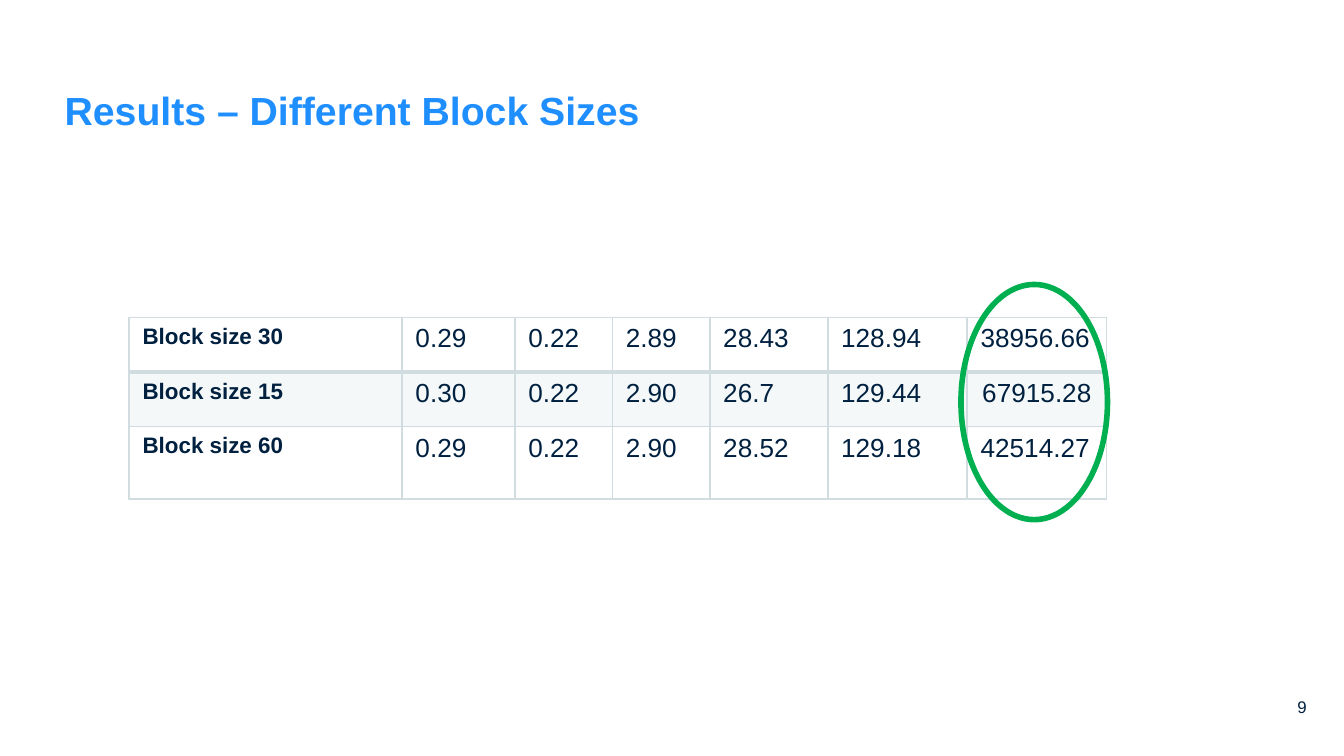
from lxml.etree import SubElement
from pptx import Presentation
from pptx.dml.color import RGBColor
from pptx.enum.shapes import MSO_SHAPE
from pptx.enum.text import MSO_ANCHOR, PP_ALIGN
from pptx.oxml import parse_xml
from pptx.oxml.ns import nsdecls, qn
from pptx.util import Pt

# Content
TITLE = "Results – Different Block Sizes"
PAGE_NUMBER = "9"
ROWS = [
    ("Block size 30", "0.29", "0.22", "2.89", "28.43", "128.94", "38956.66"),
    ("Block size 15", "0.30", "0.22", "2.90", "26.7", "129.44", "67915.28"),
    ("Block size 60", "0.29", "0.22", "2.90", "28.52", "129.18", "42514.27"),
]
CENTERED_CELL = (1, 6)
SHADED_ROW = 1

# Layout
COLUMN_WIDTHS = [146.2, 60.5, 52.2, 52.2, 63.2, 74.7, 74.7]
ROW_HEIGHTS = [29.3, 29.3, 38.8]
TABLE_LEFT, TABLE_TOP = 69.2, 170

THEME = {
    "font": "Arial",
    "title": "1F8FFF", "text": "002040", "grid": "D0DCDF", "highlight": "00B050",
    "title_size": 21, "value_size": 14, "label_size": 12, "page_size": 9,
    "shade_opacity": 20, "grid_width": 1, "first_rule_width": 2, "highlight_width": 3,
}


def write(text_frame, text, *, size, color=THEME["text"], bold=False,
          align=PP_ALIGN.LEFT, spacing=1.0):
    paragraph = text_frame.paragraphs[0]
    paragraph.alignment = align
    paragraph.line_spacing = spacing
    run = paragraph.add_run()
    run.text = text
    run.font.name = THEME["font"]
    run.font.size = Pt(size)
    run.font.bold = bold
    run.font.color.rgb = RGBColor.from_string(color)


def clear_margins(text_frame):
    text_frame.margin_left = text_frame.margin_right = 0
    text_frame.margin_top = text_frame.margin_bottom = 0
    text_frame.vertical_anchor = MSO_ANCHOR.TOP
    text_frame.word_wrap = True


def place(shape, left, top, width, height):
    shape.left, shape.top = Pt(left), Pt(top)
    shape.width, shape.height = Pt(width), Pt(height)


def set_borders(cell, widths):
    properties = cell._tc.get_or_add_tcPr()
    for position, (side, width) in enumerate(widths.items()):
        properties.insert(position, parse_xml(
            f'<a:ln{side} {nsdecls("a")} w="{Pt(width)}"><a:solidFill>'
            f'<a:srgbClr val="{THEME["grid"]}"/></a:solidFill></a:ln{side}>'))


def shade(cell):
    cell.fill.solid()
    cell.fill.fore_color.rgb = RGBColor.from_string(THEME["grid"])
    color = cell._tc.tcPr.find(qn("a:solidFill")).find(qn("a:srgbClr"))
    SubElement(color, qn("a:alpha"), val=str(THEME["shade_opacity"] * 1000))


presentation = Presentation()
presentation.slide_width, presentation.slide_height = Pt(720), Pt(405)
slide = presentation.slides.add_slide(presentation.slide_layouts[5])

# Title
title = slide.shapes.title
place(title, 34.6, 43.9, 620.6, 35.3)
clear_margins(title.text_frame)
write(title.text_frame, TITLE, size=THEME["title_size"], color=THEME["title"],
      bold=True, spacing=1.1)

# Page number
page_box = slide.shapes.add_textbox(Pt(676), Pt(373), Pt(24), Pt(15))
clear_margins(page_box.text_frame)
write(page_box.text_frame, PAGE_NUMBER, size=THEME["page_size"], align=PP_ALIGN.RIGHT)

# Results table
table = slide.shapes.add_table(
    len(ROWS), len(COLUMN_WIDTHS), Pt(TABLE_LEFT), Pt(TABLE_TOP),
    Pt(sum(COLUMN_WIDTHS)), Pt(sum(ROW_HEIGHTS))).table
table.first_row = table.horz_banding = False
for column, width in zip(table.columns, COLUMN_WIDTHS):
    column.width = Pt(width)
for row, height in zip(table.rows, ROW_HEIGHTS):
    row.height = Pt(height)

for row_index, values in enumerate(ROWS):
    borders = dict.fromkeys("LRTB", THEME["grid_width"])
    if row_index < 2:  # heavier rule below the first row
        borders["BT"[row_index]] = THEME["first_rule_width"]
    for column_index, value in enumerate(values):
        cell = table.cell(row_index, column_index)
        is_label = column_index == 0
        is_centered = (row_index, column_index) == CENTERED_CELL
        write(cell.text_frame, value, bold=is_label,
              size=THEME["label_size" if is_label else "value_size"],
              align=PP_ALIGN.CENTER if is_centered else PP_ALIGN.LEFT)
        if row_index == SHADED_ROW:
            shade(cell)
        else:
            cell.fill.background()
        set_borders(cell, borders)

# Highlight around the last column
highlight = slide.shapes.add_shape(
    MSO_SHAPE.OVAL, Pt(514.8), Pt(152.4), Pt(78.5), Pt(126))
highlight.shadow.inherit = False
highlight.fill.background()
highlight.line.color.rgb = RGBColor.from_string(THEME["highlight"])
highlight.line.width = Pt(THEME["highlight_width"])

presentation.save("out.pptx")
